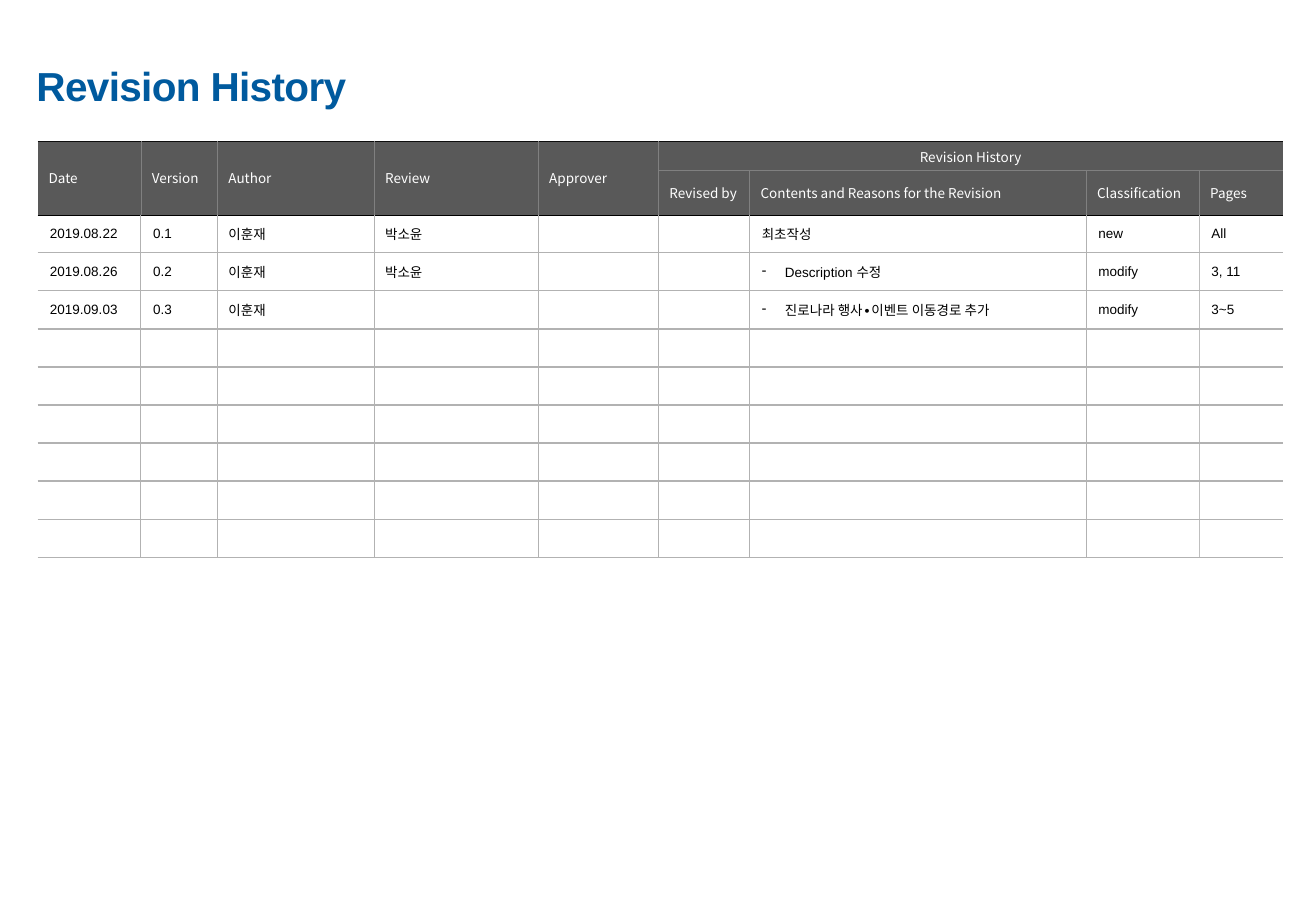
import pptx
import pptx.util
import pptx.dml.color
import pptx.enum.text
from lxml import etree

Inches, Pt = pptx.util.Inches, pptx.util.Pt
RGBColor = pptx.dml.color.RGBColor
BLUE = RGBColor(0x00, 0x5A, 0x9E)
WHITE = RGBColor(0xFF, 0xFF, 0xFF)
BLACK = RGBColor(0x00, 0x00, 0x00)
NEAR_BLACK = RGBColor(0x0D, 0x0D, 0x0D)
DARK = RGBColor(0x59, 0x59, 0x59)
GRAY = RGBColor(0x80, 0x80, 0x80)
LINE = RGBColor(0xB2, 0xB2, 0xB2)
PALE = RGBColor(0xBF, 0xBF, 0xBF)
SANS = "Noto Sans CJK KR"
NS = "{http://schemas.openxmlformats.org/drawingml/2006/main}"


def add_run(p, text, size, font, color):
    r = p.add_run()
    r.text = text
    r.font.size = Pt(size)
    r.font.name = font
    r.font.color.rgb = color
    etree.SubElement(r.font._element, NS + "ea", typeface=SANS)
    return r


def add_border(cell, side, color, width):
    tcPr = cell._tc.get_or_add_tcPr()
    ln = etree.SubElement(tcPr, NS + "ln" + side, w=str(Pt(width)))
    if color is None:
        etree.SubElement(ln, NS + "noFill")
    else:
        fill = etree.SubElement(ln, NS + "solidFill")
        etree.SubElement(fill, NS + "srgbClr", val=str(color))


prs = pptx.Presentation()
prs.slide_width = Inches(10.83)
prs.slide_height = Inches(7.5)
s = prs.slides.add_slide(prs.slide_layouts[6])

tf = s.shapes.add_textbox(Inches(0.21), Inches(0.45), Inches(4.01), Inches(0.5)).text_frame
tf.word_wrap = True
tf.margin_left = tf.margin_right = Inches(0.09)
r = add_run(tf.paragraphs[0], "Revision History", 24, "Arial", BLUE)
r.font.bold = True
r.font._element.set("spc", "-40")

col_widths = [0.85, 0.63, 1.29, 1.35, 0.99, 0.75, 2.77, 0.93, 0.69]
row_heights = [0.24, 0.37] + [0.313] * 9
rows = [
    ["Date", "Version", "Author", "Review", "Approver", "Revision History"],
    ["", "", "", "", "", "Revised by", "Contents and Reasons for the Revision", "Classification", "Pages"],
    ["2019.08.22", "0.1", "이훈재", "박소윤", "", "", "최초작성", "new", "All"],
    ["2019.08.26", "0.2", "이훈재", "박소윤", "", "", "Description 수정", "modify", "3, 11"],
    ["2019.09.03", "0.3", "이훈재", "", "", "", "진로나라 행사∙이벤트 이동경로 추가", "modify", "3~5"],
]
n_rows, n_cols = len(row_heights), len(col_widths)
AUTHOR, REVIEW, GROUP, CONTENTS, PAGES = 2, 3, 5, 6, 8

tbl = s.shapes.add_table(n_rows, n_cols, Inches(0.31), Inches(1.16),
                         Inches(sum(col_widths)), Inches(sum(row_heights))).table
tbl.first_row = False
tbl.horz_banding = False
for col, width in zip(tbl.columns, col_widths):
    col.width = Inches(width)
for row, height in zip(tbl.rows, row_heights):
    row.height = Inches(height)
for j in range(GROUP):
    tbl.cell(0, j).merge(tbl.cell(1, j))
tbl.cell(0, GROUP).merge(tbl.cell(0, PAGES))

for i in range(n_rows):
    header = i < 2
    for j in range(n_cols):
        cell = tbl.cell(i, j)
        cell.vertical_anchor = pptx.enum.text.MSO_ANCHOR.MIDDLE
        inset = 0.09 if header or j in (AUTHOR, REVIEW) else 0.1
        cell.margin_left = cell.margin_right = Inches(inset)

        side_line = (GRAY, 0.25) if header else (LINE, 0.75)
        left = right = side_line
        if not header and j == PAGES:
            left = (PALE, 0.25)
        if not header and j == PAGES - 1:
            right = (PALE, 0.25)
        if j == 0 or (i == 0 and j > GROUP):
            left = (None, 0)
        if j == PAGES or (i == 0 and j >= GROUP):
            right = (None, 0)
        top = {0: (NEAR_BLACK, 0.25), 1: (GRAY, 0.25), 2: (BLACK, 0.25)}.get(i, (LINE, 0.75))
        bottom = (LINE, 0.75)
        if header:
            bottom = (GRAY if i == 0 and j >= GROUP else BLACK, 0.25)
        for side, line in zip("LRTB", (left, right, top, bottom)):
            add_border(cell, side, *line)
        if header:
            cell.fill.solid()
            cell.fill.fore_color.rgb = DARK
        else:
            cell.fill.background()

        text = rows[i][j] if i < len(rows) and j < len(rows[i]) else ""
        p = cell.text_frame.paragraphs[0]
        if not text:
            etree.SubElement(p._p, NS + "endParaRPr", sz="800")
            continue
        p.space_before = Pt(1.6)
        if i == 0 and j == GROUP:
            p.alignment = pptx.enum.text.PP_ALIGN.CENTER
        if j == CONTENTS and i > 2:
            pPr = p._p.get_or_add_pPr()
            pPr.set("marL", str(Inches(0.19)))
            pPr.set("indent", str(-Inches(0.19)))
            etree.SubElement(pPr, NS + "buFontTx")
            etree.SubElement(pPr, NS + "buChar", char="-")
        before, dot, after = text.partition("∙")
        font, color = (SANS, WHITE) if header else ("Arial", BLACK)
        for part, name in ((before, font), (dot, SANS), (after, font)):
            if part:
                add_run(p, part, 8, name, color)

prs.save("out.pptx")
